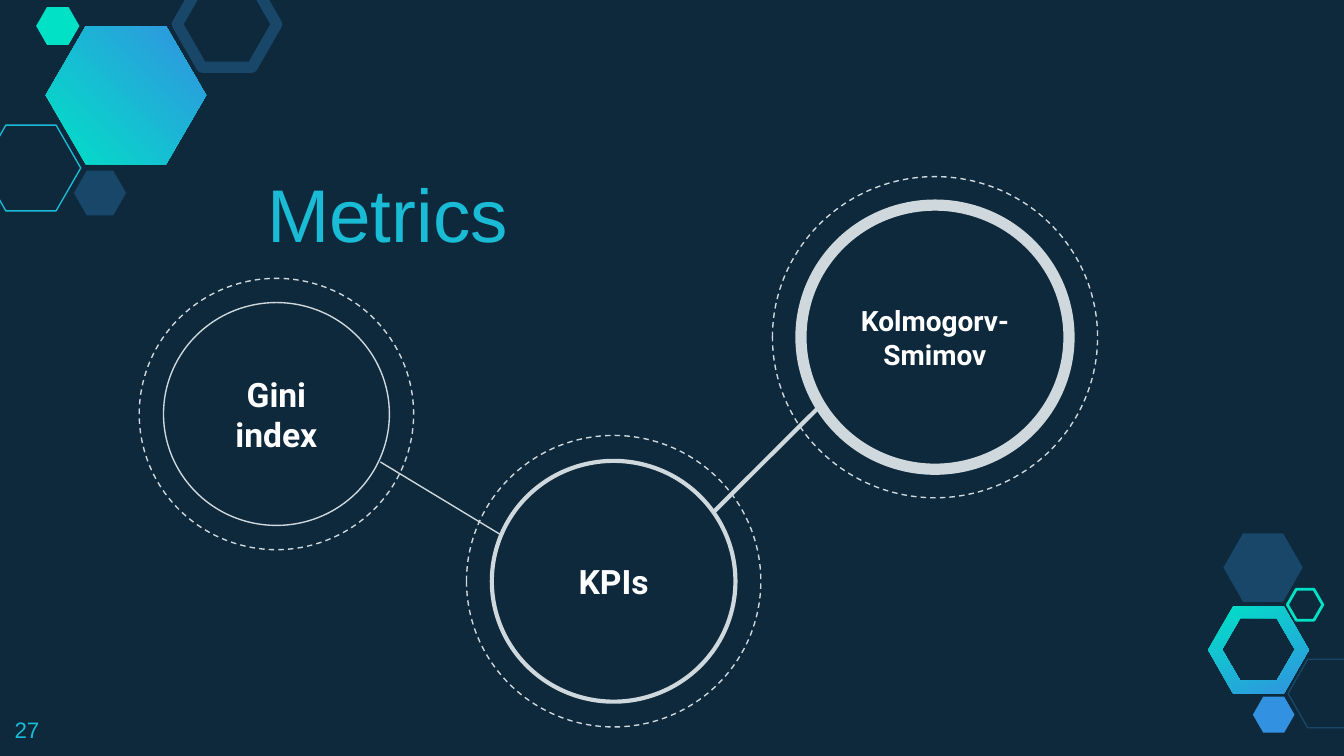
import pptx
import pptx.util
import pptx.dml.color
import pptx.enum.dml
import pptx.enum.shapes
import pptx.enum.text
import pptx.oxml.ns
import lxml.etree

Pt = pptx.util.Pt
SHAPE = pptx.enum.shapes.MSO_SHAPE
ANCHOR = pptx.enum.text.MSO_ANCHOR
ALIGN = pptx.enum.text.PP_ALIGN

COLORS = {
    "night": "0E293C",
    "navy": "184769",
    "cyan": "19BBD5",
    "mint": "00E1C6",
    "blue": "3292E1",
    "grey": "CFD8DC",
    "white": "FFFFFF",
}


def rgb(name):
    return pptx.dml.color.RGBColor.from_string(COLORS[name])


def paint(shape, fill=None, line=None, width=0.75):
    shape.shadow.inherit = False
    if fill:
        shape.fill.solid()
        shape.fill.fore_color.rgb = rgb(fill)
    else:
        shape.fill.background()
    if line:
        shape.line.color.rgb = rgb(line)
        shape.line.width = Pt(width)
    else:
        shape.line.fill.background()


def write(shape, text, size, font, color, anchor, align=ALIGN.LEFT, bold=False):
    tf = shape.text_frame
    tf.word_wrap = True
    tf.auto_size = pptx.enum.text.MSO_AUTO_SIZE.NONE
    tf.vertical_anchor = anchor
    tf.margin_left = tf.margin_right = tf.margin_top = tf.margin_bottom = Pt(7.2)
    p = tf.paragraphs[0]
    p.text = text
    p.alignment = align
    p.font.size = Pt(size)
    p.font.name = font
    p.font.bold = bold
    p.font.color.rgb = rgb(color)


def hexagon(s, box, fill=None, line=None, width=0.75):
    sp = s.shapes.add_shape(SHAPE.HEXAGON, *map(Pt, box))
    sp.adjustments[0] = 0.287
    paint(sp, fill, line, width)


def hexagon_points(box):
    x, y, w, h = box
    corners = [(0, 0.5), (0.25, 0), (0.75, 0), (1, 0.5), (0.75, 1), (0.25, 1)]
    return [(Pt(x + w * u), Pt(y + h * v)) for u, v in corners]


def gradient_hexagon(s, box, angle, hole=None):
    outer = hexagon_points(box)
    fb = s.shapes.build_freeform(*outer[0])
    fb.add_line_segments(outer[1:], close=True)
    if hole:
        # Opposite winding cuts the hole
        inner = hexagon_points(hole)[::-1]
        fb.move_to(*inner[0])
        fb.add_line_segments(inner[1:], close=True)
    sp = fb.convert_to_shape()
    paint(sp)
    sp.fill.gradient()
    sp.fill.gradient_angle = angle
    for stop, name in zip(sp.fill.gradient_stops, ("mint", "blue")):
        stop.color.rgb = rgb(name)


def top_cluster(s, x, y):
    gradient_hexagon(s, (x + 24.5, y + 14, 86, 74), 45)
    hexagon(s, (x - 10, y + 67, 53.3, 46), line="cyan")
    hexagon(s, (x + 39.6, y + 91.4, 28, 24), fill="navy")
    hexagon(s, (x + 95, y - 10, 53.3, 46), line="navy", width=6)
    hexagon(s, (x + 19.4, y + 3.8, 23.2, 20.2), fill="mint")


def bottom_cluster(s, x, y):
    gradient_hexagon(s, (x, y + 39, 54, 47), 296, hole=(x + 7.5, y + 45.5, 39, 33.5))
    hexagon(s, (x + 42.8, y + 67.5, 42.5, 36.7), line="navy")
    hexagon(s, (x + 24, y + 87.5, 22.3, 19.4), fill="blue")
    hexagon(s, (x + 8.2, y, 42.5, 36.7), fill="navy")
    hexagon(s, (x + 42.5, y + 30, 19, 16.6), line="mint", width=1.5)


def node(s, box, gap, text, size, width):
    """Dashed halo filling the box, with a labelled circle inside it."""
    x, y, w, h = box
    halo = s.shapes.add_shape(SHAPE.OVAL, *map(Pt, box))
    paint(halo, line="grey")
    halo.line.dash_style = pptx.enum.dml.MSO_LINE.DASH
    inner = (x + gap, y + gap, w - 2 * gap, h - 2 * gap)
    sp = s.shapes.add_shape(SHAPE.OVAL, *map(Pt, inner))
    paint(sp, line="grey", width=width)
    write(sp, text, size, "Roboto", "white", ANCHOR.MIDDLE, ALIGN.CENTER, True)


def link(s, ends, width):
    c = s.shapes.add_connector(pptx.enum.shapes.MSO_CONNECTOR.STRAIGHT, *map(Pt, ends))
    c.line.color.rgb = rgb("grey")
    c.line.width = Pt(width)
    lxml.etree.SubElement(c._element.spPr, pptx.oxml.ns.qn("a:effectLst"))


def heading(s, box, text):
    sp = s.shapes.title
    sp.left, sp.top, sp.width, sp.height = map(Pt, box)
    write(sp, text, 40, "Arial", "cyan", ANCHOR.BOTTOM)


def page_number(s, box, text):
    sp = s.shapes.add_textbox(*map(Pt, box))
    write(sp, text, 12, "Arial", "cyan", ANCHOR.TOP)


def main():
    prs = pptx.Presentation()
    prs.slide_width, prs.slide_height = Pt(720), Pt(405)
    s = prs.slides.add_slide(prs.slide_layouts[5])
    s.background.fill.solid()
    s.background.fill.fore_color.rgb = rgb("night")

    # Corner decoration
    top_cluster(s, 0, 0)
    bottom_cluster(s, 647.2, 285.7)

    # Title and page number
    heading(s, (136, 94.3, 389.5, 51), "Metrics")
    page_number(s, (0.7, 376.6, 43, 28), "27")

    # Metrics
    node(s, (74.6, 149.1, 147, 145.4), 13, "Gini index", 18, 0.75)
    node(s, (249.9, 233.3, 157.7, 156.2), 13.6, "KPIs", 18, 2.25)
    node(s, (413.8, 94.6, 174.2, 172.1), 15.3, "Kolmogorv-Smimov", 15, 6)

    # Links between the circles
    link(s, (203.8, 247.5, 268.3, 286.5), 0.75)
    link(s, (382.3, 274.3, 438.3, 218.5), 2.25)

    prs.save("out.pptx")


if __name__ == "__main__":
    main()
